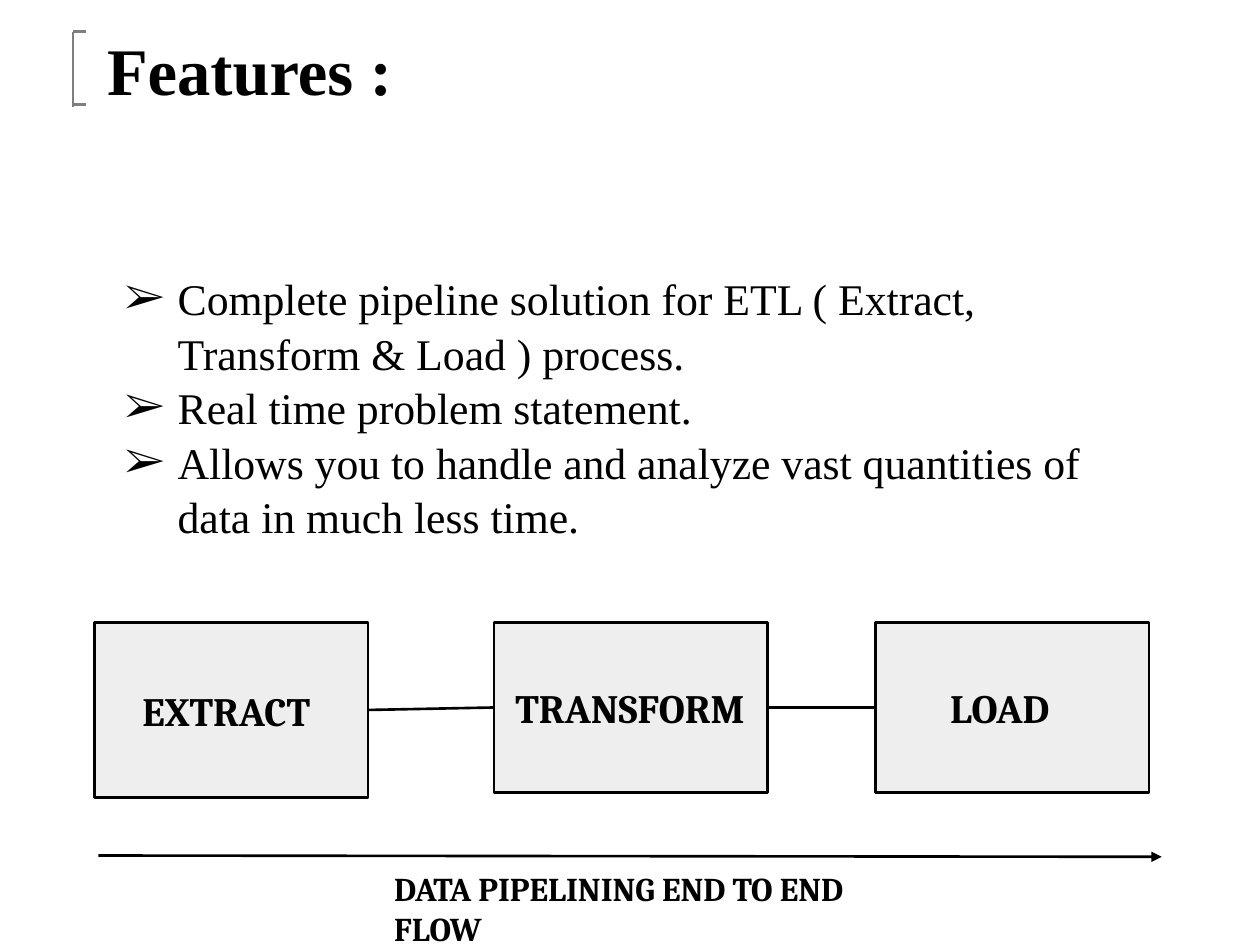
from dataclasses import dataclass
from itertools import pairwise

from lxml.etree import SubElement
from pptx import Presentation
from pptx.dml.color import RGBColor
from pptx.enum.shapes import MSO_CONNECTOR, MSO_SHAPE
from pptx.enum.text import MSO_ANCHOR, MSO_AUTO_SIZE, PP_ALIGN
from pptx.oxml.ns import qn
from pptx.shapes.autoshape import Shape
from pptx.shapes.connector import Connector
from pptx.slide import Slide
from pptx.text.text import TextFrame
from pptx.util import Inches, Pt

COLORS = {"ink": "000000", "box": "EEEEEE", "mark": "7F7F7F"}
SERIF = "Times New Roman"
HEAD = "Cambria"
ITEMS = [
    "Complete pipeline solution for ETL ( Extract, Transform & Load ) process.",
    "Real time problem statement.",
    "Allows you to handle and analyze vast quantities of data in much less time.",
]


@dataclass
class Step:
    label: str
    left: float
    height: float
    inset: float


@dataclass
class Rule:
    start: tuple[float, float]
    end: tuple[float, float]
    color: str = "ink"
    arrow: bool = False


STEPS = [
    Step("EXTRACT", 0.75, 1.39, 0.38),
    Step("TRANSFORM", 3.92, 1.35, 0.17),
    Step("LOAD", 6.95, 1.35, 0.59),
]
RULES = [
    Rule((0.58, 0.85), (0.58, 0.25), "mark"),
    Rule((0.68, 0.25), (0.58, 0.25), "mark"),
    Rule((0.68, 0.83), (0.58, 0.83), "mark"),
    Rule((0.78, 6.79), (9.22, 6.8), arrow=True),
]


def tint(name: str) -> RGBColor:
    return RGBColor.from_string(COLORS[name])


def place(shape: Shape, left: float, top: float, width: float, height: float) -> None:
    shape.left, shape.top = Inches(left), Inches(top)
    shape.width, shape.height = Inches(width), Inches(height)


def write(frame: TextFrame, lines: list[str], face: str, size: float,
          bold: bool = True, inset: float = 0.1, pad: float = 0.1,
          anchor: MSO_ANCHOR = MSO_ANCHOR.MIDDLE) -> None:
    frame.text = "\n".join(lines)
    frame.word_wrap = True
    frame.auto_size = MSO_AUTO_SIZE.NONE
    frame.vertical_anchor = anchor
    frame.margin_left, frame.margin_right = Inches(inset), Inches(0.1)
    frame.margin_top = frame.margin_bottom = Inches(pad)
    for para in frame.paragraphs:
        para.alignment = PP_ALIGN.LEFT
        para.space_before = para.space_after = Pt(0)
        para.font.name, para.font.size, para.font.bold = face, Pt(size), bold
        para.font.color.rgb = tint("ink")


def mark(frame: TextFrame) -> None:
    for para in frame.paragraphs:
        para.line_spacing = 1.04
        props = para._p.get_or_add_pPr()
        props.set("marL", str(Inches(0.5)))
        props.set("indent", str(Inches(-0.42)))
        SubElement(props, qn("a:buFont"), typeface=SERIF)
        SubElement(props, qn("a:buChar"), char="➢")
        # keep schema order: bullets precede default run properties
        props.append(props.find(qn("a:defRPr")))


def draw(slide: Slide, rule: Rule) -> Connector:
    ends = [Inches(n) for n in (*rule.start, *rule.end)]
    line = slide.shapes.add_connector(MSO_CONNECTOR.STRAIGHT, *ends)
    line.line.color.rgb = tint(rule.color)
    line.line.width = Pt(1.5)
    if rule.arrow:
        SubElement(line.line._get_or_add_ln(), qn("a:tailEnd"), type="triangle")
    SubElement(line._element.spPr, qn("a:effectLst"))
    return line


def build(slide: Slide, step: Step) -> Shape:
    box = slide.shapes.add_shape(MSO_SHAPE.RECTANGLE, 0, 0, 0, 0)
    place(box, step.left, 4.94, 2.17, step.height)
    box.shadow.inherit = False
    box.fill.solid()
    box.fill.fore_color.rgb = tint("box")
    box.line.color.rgb = tint("ink")
    box.line.width = Pt(1.5)
    write(box.text_frame, [step.label], HEAD, 23, inset=step.inset)
    return box


def main() -> None:
    deck = Presentation()
    deck.slide_width, deck.slide_height = Inches(10), Inches(7.5)
    slide = deck.slides.add_slide(deck.slide_layouts[1])

    title, body = slide.placeholders
    place(title, 0.75, 0.17, 9, 0.75)
    write(title.text_frame, ["Features :"], SERIF, 38, pad=0.05)
    place(body, 0.81, 2.04, 8.39, 2.54)
    write(body.text_frame, ITEMS, SERIF, 25, bold=False, anchor=MSO_ANCHOR.TOP)
    mark(body.text_frame)

    boxes = [build(slide, step) for step in STEPS]
    for left, right in pairwise(boxes):
        link = draw(slide, Rule((0, 0), (0, 0)))
        link.begin_connect(left, 3)
        link.end_connect(right, 1)
    for rule in RULES:
        draw(slide, rule)

    note = slide.shapes.add_textbox(0, 0, 0, 0)
    place(note, 3.03, 6.79, 4.44, 0.52)
    write(note.text_frame, ["DATA PIPELINING END TO END FLOW"], HEAD, 19,
          anchor=MSO_ANCHOR.TOP)
    deck.save("out.pptx")


if __name__ == "__main__":
    main()
